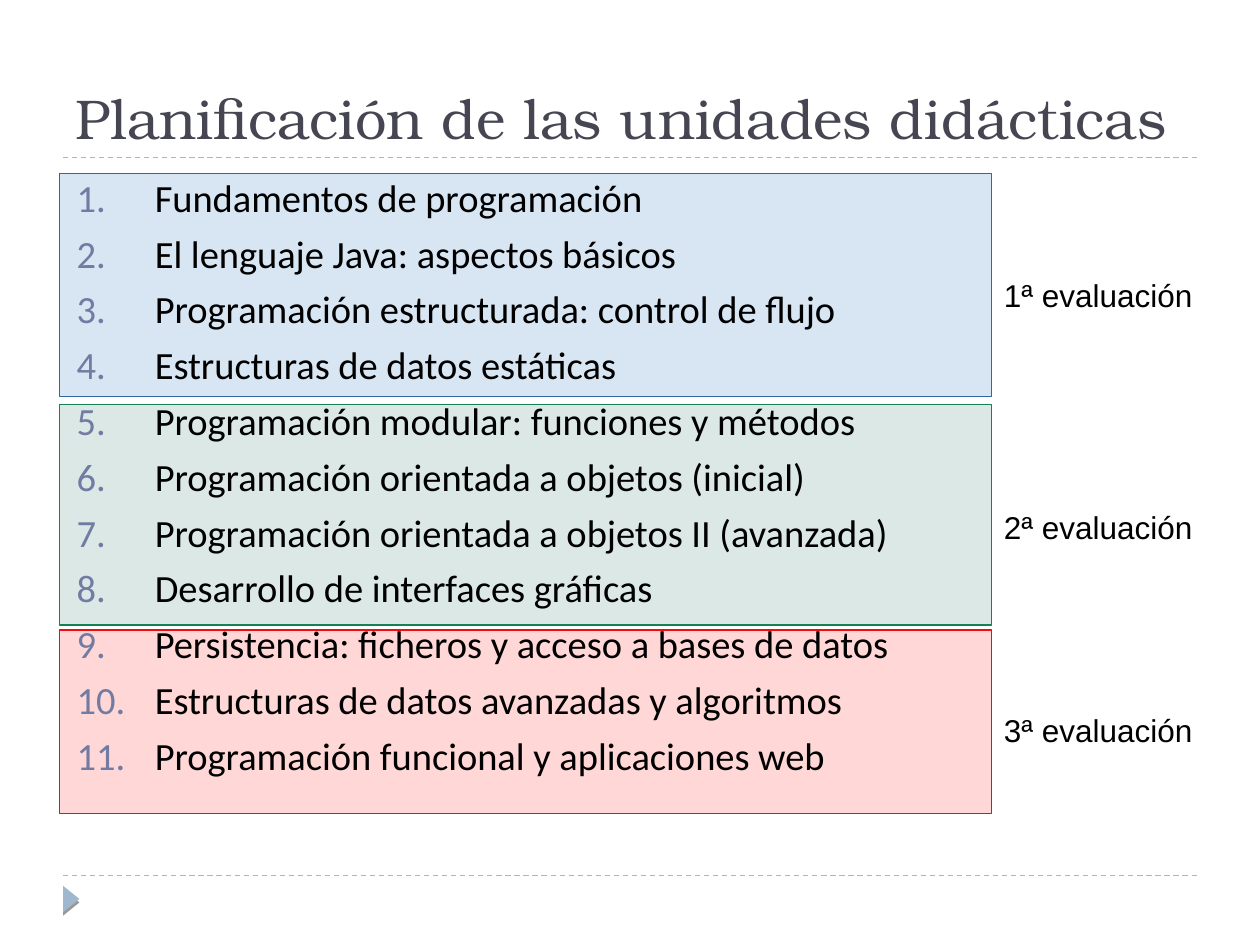
"""Build the slide that plans the teaching units over three terms."""
from dataclasses import dataclass

from lxml import etree
from pptx import Presentation
from pptx.dml.color import RGBColor
from pptx.enum.dml import MSO_LINE
from pptx.enum.shapes import MSO_CONNECTOR, MSO_SHAPE
from pptx.enum.text import MSO_ANCHOR, MSO_AUTO_SIZE, PP_ALIGN
from pptx.oxml.ns import qn
from pptx.util import Inches, Pt

DASH = MSO_LINE.DASH
STRAIGHT = MSO_CONNECTOR.STRAIGHT
RECTANGLE = MSO_SHAPE.RECTANGLE
TRIANGLE = MSO_SHAPE.ISOSCELES_TRIANGLE
BOTTOM = MSO_ANCHOR.BOTTOM
TOP = MSO_ANCHOR.TOP
NO_FIT = MSO_AUTO_SIZE.NONE
LEFT = PP_ALIGN.LEFT

COLORS = {
    "title": "464653",
    "text": "000000",
    "number": "727CA3",
    "accent": "9FB8CD",
    "blue": "729FCF",
    "blue_line": "3465A4",
    "green": "81ACA6",
    "green_line": "168253",
    "red": "FF6D6D",
    "red_line": "F10D0C",
}
UNITS = [
    "Fundamentos de programación",
    "El lenguaje Java: aspectos básicos",
    "Programación estructurada: control de flujo",
    "Estructuras de datos estáticas",
    "Programación modular: funciones y métodos",
    "Programación orientada a objetos (inicial)",
    "Programación orientada a objetos II (avanzada)",
    "Desarrollo de interfaces gráficas",
    "Persistencia: ficheros y acceso a bases de datos",
    "Estructuras de datos avanzadas y algoritmos",
    "Programación funcional y aplicaciones web",
]


@dataclass
class Term:
    """A term: its coloured band and the label beside it."""
    label: str
    color: str
    top: float
    height: float
    label_top: float


TERMS = [
    Term("3ª evaluación", "red", 5, 1.46, 5.59),
    Term("2ª evaluación", "green", 3.21, 1.75, 3.98),
    Term("1ª evaluación", "blue", 1.38, 1.77, 2.14),
]


def rgb(name: str) -> RGBColor:
    """Return a named colour."""
    return RGBColor.from_string(COLORS[name])


def style(font, name: str, size: float, color: str) -> None:
    """Set the face, size and colour of a font."""
    font.name, font.size = name, Pt(size)
    font.color.rgb = rgb(color)


def add_rule(slide, y: float) -> None:
    """Draw a dashed line across the slide."""
    s = slide.shapes.add_connector(
        STRAIGHT, Inches(0.5), Inches(y), Inches(9.5), Inches(y))
    s.line.color.rgb = rgb("accent")
    s.line.width = Pt(0.75)
    s.line.dash_style = DASH
    etree.SubElement(s._element.spPr, qn("a:effectLst"))


def add_marker(slide) -> None:
    """Draw the footer triangle with its shadow."""
    s = slide.shapes.add_shape(
        TRIANGLE, Inches(0.46), Inches(7.07), Inches(0.21), Inches(0.13))
    s.rotation = 90
    s.fill.solid()
    s.fill.fore_color.rgb = rgb("accent")
    s.line.fill.background()
    s.shadow.inherit = False
    effects = s._element.spPr.find(qn("a:effectLst"))
    shadow = etree.SubElement(
        effects, qn("a:outerShdw"), dist=str(Pt(2)), dir="5400000")
    color = etree.SubElement(shadow, qn("a:srgbClr"), val=COLORS["text"])
    etree.SubElement(color, qn("a:alpha"), val="40000")


def add_title(slide, text: str) -> None:
    """Place and format the title."""
    s = slide.shapes.title
    s.left, s.top = Inches(0.5), Inches(0.17)
    s.width, s.height = Inches(9), Inches(1.08)
    tf = s.text_frame
    tf.text = text
    tf.auto_size = NO_FIT
    tf.vertical_anchor = BOTTOM
    p = tf.paragraphs[0]
    p.alignment = LEFT
    style(p.runs[0].font, "TeX Gyre Bonum", 32, "title")


def add_band(slide, term: Term) -> None:
    """Draw the translucent band behind the units of a term."""
    s = slide.shapes.add_shape(
        RECTANGLE, Inches(0.47), Inches(term.top), Inches(7.4), Inches(term.height))
    s.shadow.inherit = False
    s.fill.solid()
    s.fill.fore_color.rgb = rgb(term.color)
    color = s._element.spPr.find(qn("a:solidFill")).find(qn("a:srgbClr"))
    etree.SubElement(color, qn("a:alpha"), val="27000")
    s.line.color.rgb = rgb(f"{term.color}_line")
    s.line.width = Pt(0)


def add_text_frame(slide, left: float, top: float, width: float, height: float):
    """Add a wrapping text box and return its frame."""
    s = slide.shapes.add_textbox(
        Inches(left), Inches(top), Inches(width), Inches(height))
    tf = s.text_frame
    tf.word_wrap = True
    tf.vertical_anchor = TOP
    return tf


def add_number(p) -> None:
    """Give a paragraph a coloured automatic number and a hanging indent."""
    pr = p._p.get_or_add_pPr()
    pr.set("marL", str(Inches(0.63)))
    pr.set("indent", str(Inches(-0.62)))
    color = etree.SubElement(pr, qn("a:buClr"))
    etree.SubElement(color, qn("a:srgbClr"), val=COLORS["number"])
    etree.SubElement(pr, qn("a:buFont"), typeface="+mj-lt")
    etree.SubElement(pr, qn("a:buAutoNum"), type="arabicPeriod")


def add_units(slide) -> None:
    """Write the numbered list of units."""
    tf = add_text_frame(slide, 0.5, 1.33, 9.19, 5.4)
    tf.text = "\n".join(UNITS)
    for i, p in enumerate(tf.paragraphs):
        add_number(p)
        if i:
            p.space_before = Pt(5.5)
        style(p.runs[0].font, "Calibri", 22, "text")


def add_label(slide, term: Term) -> None:
    """Write the name of a term beside its band."""
    tf = add_text_frame(slide, 7.87, term.label_top, 1.73, 0.38)
    tf.text = term.label
    style(tf.paragraphs[0].runs[0].font, "Arial", 18, "text")


def main() -> None:
    """Build and save the slide."""
    prs = Presentation()
    prs.slide_width, prs.slide_height = Inches(10), Inches(7.5)
    slide = prs.slides.add_slide(prs.slide_layouts[5])
    add_title(slide, "Planificación de las unidades didácticas")
    for y in (6.95, 1.25):
        add_rule(slide, y)
    add_marker(slide)
    for term in TERMS:
        add_band(slide, term)
    add_units(slide)
    for term in TERMS:
        add_label(slide, term)
    prs.save("out.pptx")


if __name__ == "__main__":
    main()
